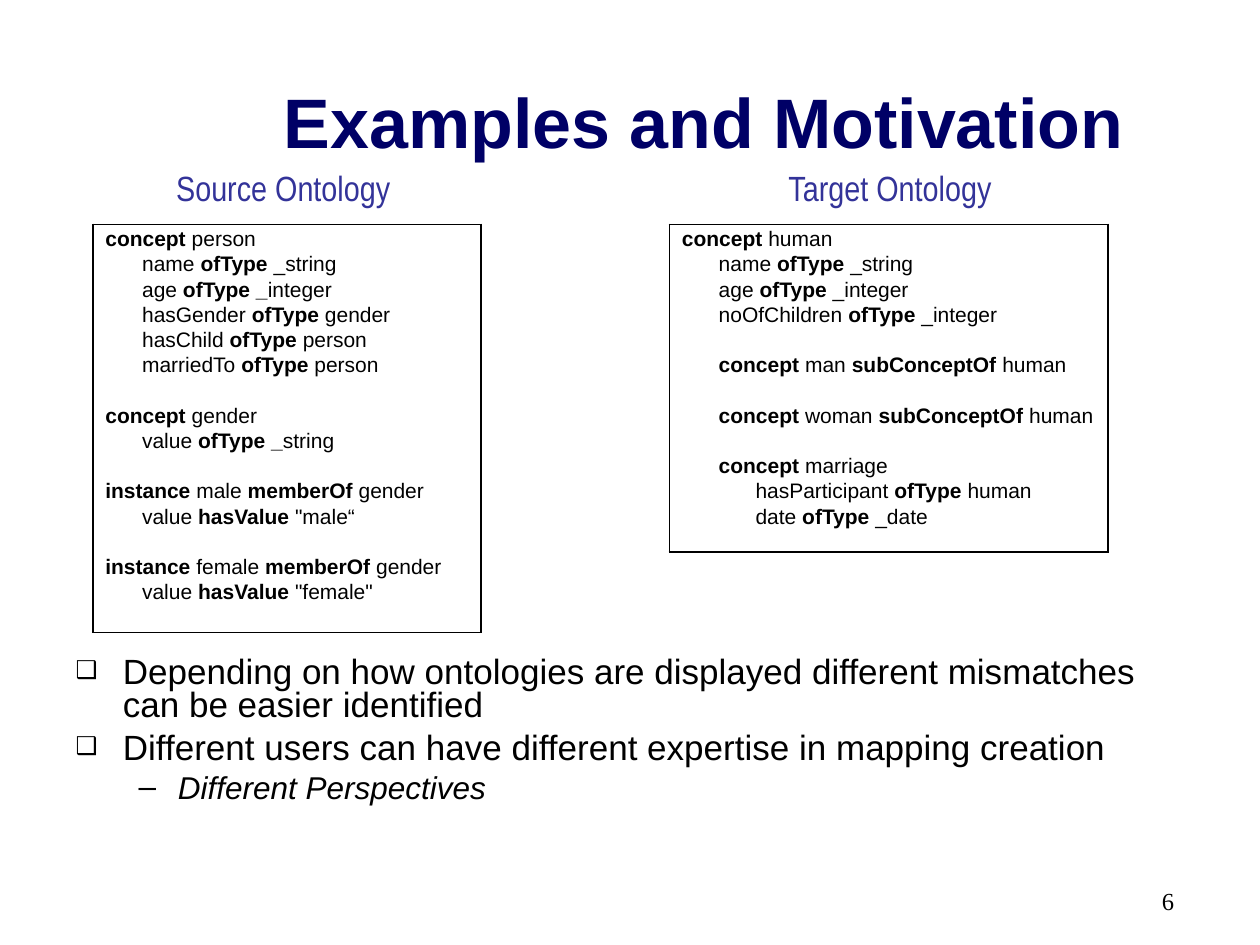
from lxml import etree
from pptx import Presentation
from pptx.dml.color import RGBColor
from pptx.enum import text as tx
from pptx.oxml import ns
from pptx.util import Pt

BLACK = RGBColor(0, 0, 0)
NAVY = RGBColor(0, 0, 0x66)
BLUE = RGBColor(0x33, 0x33, 0x99)

STEP = 21    # indent per level of code
LEAD = 3     # space before a line of code
GAP = 17.4   # space before a new block of code

# Leading tabs give the depth, asterisks enclose bold words
SOURCE = [
    ["*concept *person", "\tname *ofType *_string", "\tage *ofType _*integer",
     "\thasGender *ofType *gender", "\thasChild *ofType *person",
     "\tmarriedTo *ofType *person"],
    ["*concept *gender", "\tvalue *ofType _*string"],
    ["*instance *male *memberOf *gender", "\tvalue *hasValue *\"male“"],
    ["*instance *female *memberOf *gender", "\tvalue *hasValue *\"female\""],
]
TARGET = [
    ["*concept *human", "\tname *ofType *_string", "\tage *ofType *_integer",
     "\tnoOfChildren* ofType *_integer"],
    ["\t*concept *man *subConceptOf *human"],
    ["\t*concept *woman *subConceptOf *human"],
    ["\t*concept *marriage", "\t\thasParticipant *ofType *human",
     "\t\tdate *ofType *_date"],
]
POINTS = [
    (0, "Depending on how ontologies are displayed different mismatches "
        "can be easier identified"),
    (0, "Different users can have different expertise in mapping creation"),
    (1, "Different Perspectives"),
]


def add(parent, tag, **attrs):
    node = etree.SubElement(parent, ns.qn(tag))
    for key, val in attrs.items():
        node.set(key, str(val))
    return node


def write(para, words, size=12, face="Arial", color=BLACK, bold=False,
          italic=False, align=tx.PP_ALIGN.LEFT, before=0, line=1.0):
    """Fill a paragraph; each asterisk in words switches bold."""
    para.alignment = align
    para.space_before = Pt(before)
    para.line_spacing = line
    for i, part in enumerate(words.split("*")):
        if part:
            run = para.add_run()
            run.text = part
            font = run.font
            font.size, font.name = Pt(size), face
            font.bold, font.italic = bold != (i % 2 == 1), italic
            font.color.rgb = color


def paras(frame):
    """Yield the first paragraph, then new ones."""
    yield frame.paragraphs[0]
    while True:
        yield frame.add_paragraph()


def place(shape, box):
    shape.left, shape.top, shape.width, shape.height = map(Pt, box)


def head(slide, box):
    shape = slide.shapes.title
    place(shape, box)
    frame = shape.text_frame
    frame.auto_size = tx.MSO_AUTO_SIZE.NONE
    frame.vertical_anchor = tx.MSO_ANCHOR.MIDDLE
    write(frame.paragraphs[0], "Examples and Motivation", size=40,
          color=NAVY, bold=True, align=tx.PP_ALIGN.CENTER)


def label(slide, box, words, **style):
    frame = slide.shapes.add_textbox(*map(Pt, box)).text_frame
    frame.word_wrap = True
    write(frame.paragraphs[0], words, **style)


def code(slide, box, blocks):
    """Bordered one-cell table holding blocks of code."""
    table = slide.shapes.add_table(1, 1, *map(Pt, box)).table
    table.first_row = table.horz_banding = False
    cell = table.cell(0, 0)
    cell.fill.background()
    props = cell._tc.get_or_add_tcPr()
    for i, side in enumerate(("a:lnL", "a:lnR", "a:lnT", "a:lnB")):
        edge = add(props, side, w=Pt(1.08))
        add(add(edge, "a:solidFill"), "a:srgbClr", val=BLACK)
        props.insert(i, edge)

    lines = paras(cell.text_frame)
    for b, block in enumerate(blocks):
        for n, row in enumerate(block):
            words = row.lstrip("\t")
            para = next(lines)
            depth = len(row) - len(words)
            para._p.get_or_add_pPr().set("marL", str(Pt(STEP * depth)))
            before = LEAD if n else GAP if b else 0
            write(para, words, before=before, line=0.85)


def points(slide, box):
    shape = slide.placeholders[1]
    place(shape, box)
    frame = shape.text_frame
    frame.auto_size = tx.MSO_AUTO_SIZE.NONE
    looks = [  # left, hang, bullet, bullet scale, size, before
        (27, 27, "❑", 70000, 20, 5),
        (58.5, 22.5, "–", 100000, 18, 4.5),
    ]
    for i, ((level, words), para) in enumerate(zip(POINTS, paras(frame))):
        left, hang, mark, scale, size, before = looks[level]
        para.level = level
        props = para._p.get_or_add_pPr()
        props.set("marL", str(Pt(left)))
        props.set("indent", str(-Pt(hang)))
        add(add(props, "a:buClr"), "a:srgbClr", val=BLACK)
        add(props, "a:buSzPct", val=scale)
        add(props, "a:buChar", char=mark)
        write(para, words, size=size, italic=level == 1,
              before=before if i else 0, line=0.8)


def main():
    deck = Presentation()
    deck.slide_width, deck.slide_height = Pt(720), Pt(540)
    slide = deck.slides.add_slide(deck.slide_layouts[1])

    head(slide, (114, 24, 576, 90))
    points(slide, (36, 372, 648, 110))

    # The two ontologies side by side
    code(slide, (53, 128.2, 221.8, 233.3), SOURCE)
    code(slide, (382.5, 128.2, 250.6, 187.2), TARGET)
    for left, words in ((93.6, "Source Ontology"), (443.5, "Target Ontology")):
        label(slide, (left, 91.5, 144, 31.5), words, size=20,
              face="Arial Narrow", color=BLUE)

    # Page number
    label(slide, (510, 502.6, 168, 37.4), "6", size=14,
          face="Times New Roman", align=tx.PP_ALIGN.RIGHT)
    deck.save("out.pptx")


if __name__ == "__main__":
    main()
